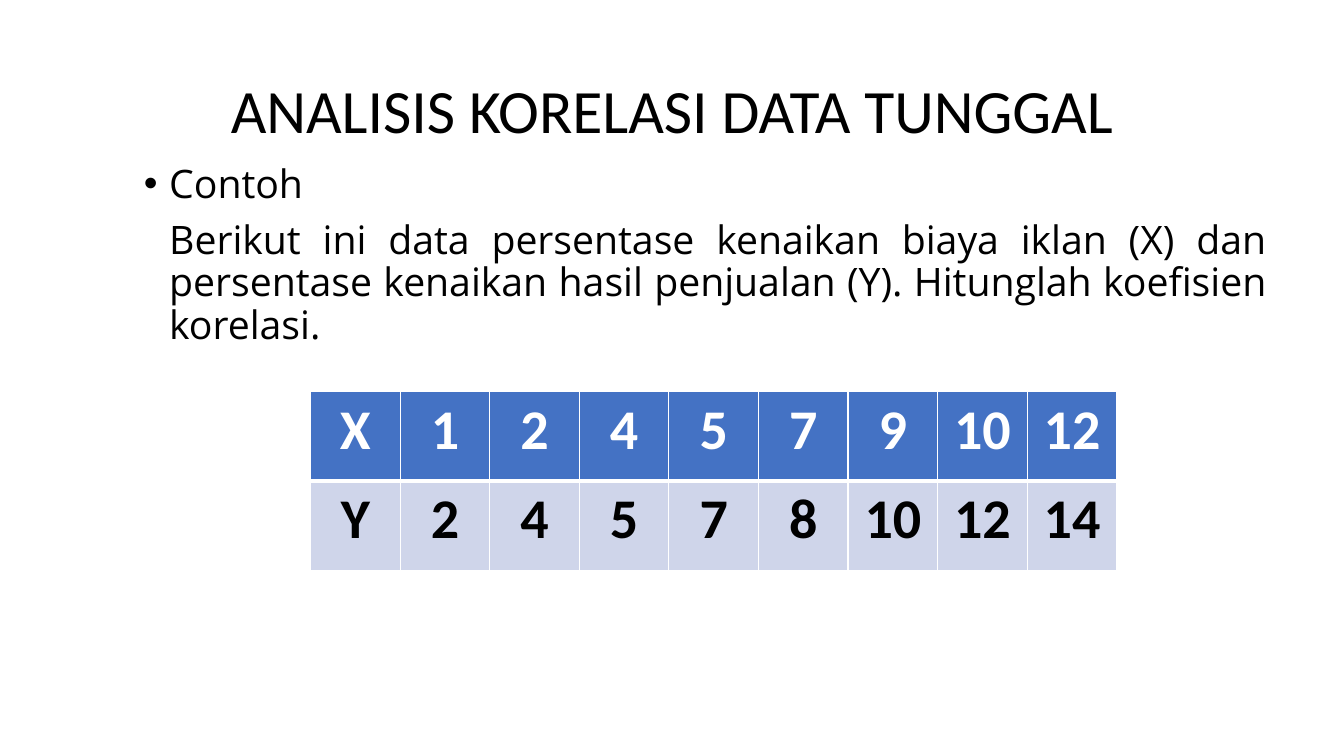
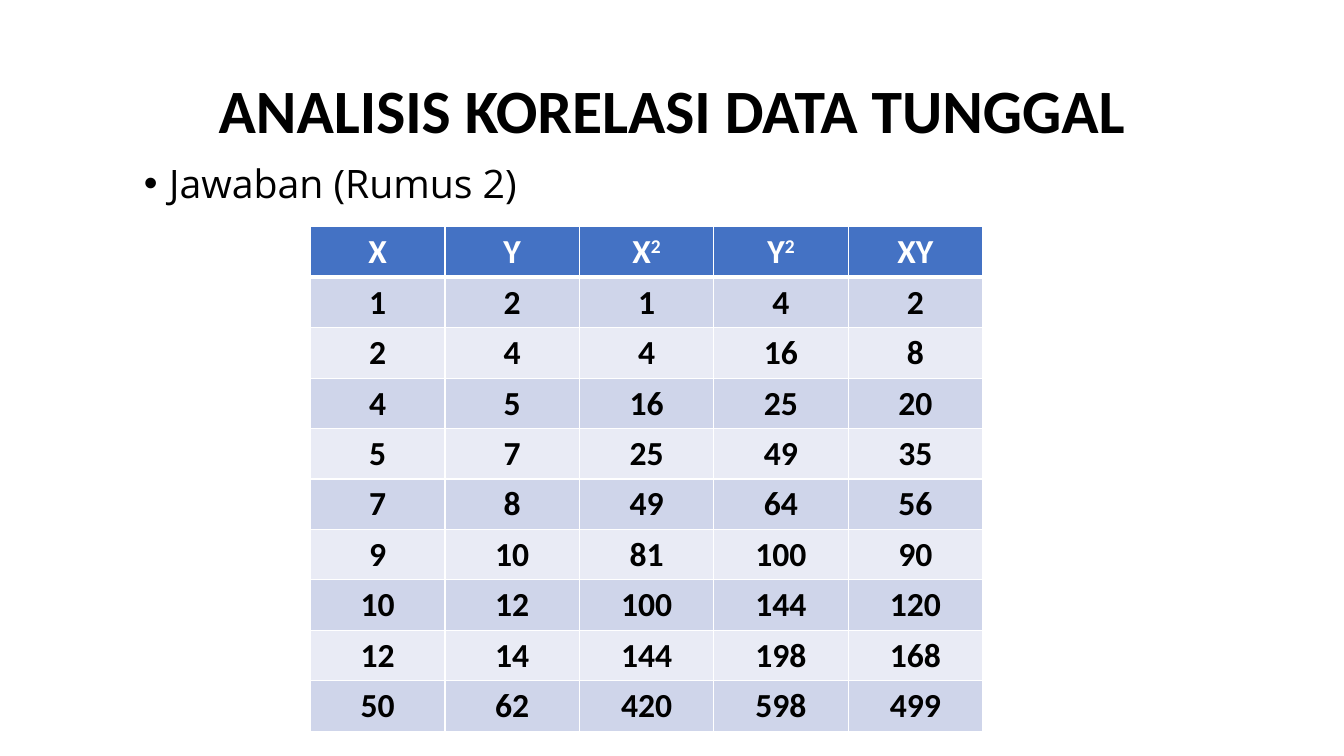
from pptx import Presentation
from pptx.dml.color import RGBColor
from pptx.enum.text import MSO_ANCHOR as Anchor, PP_ALIGN as Align
from pptx.oxml.ns import qn
from pptx.util import Inches, Pt
from lxml.etree import SubElement

TITLE = "ANALISIS KORELASI DATA TUNGGAL"
X = [1, 2, 4, 5, 7, 9, 10, 12]
Y = [2, 4, 5, 7, 8, 10, 12, 14]
SLIDES = [
    {
        "bold_title": False,
        "bullet": "Contoh",
        "detail": "Berikut ini data persentase kenaikan biaya iklan (X) dan persentase "
                  "kenaikan hasil penjualan (Y). Hitunglah koefisien korelasi.",
        "rows": [["X", *X], ["Y", *Y]],
        "top": 3.88, "column": 8 / 9, "row": 8 / 9, "size": 40,
    },
    {
        "bold_title": True,
        "bullet": "Jawaban (Rumus 2)",
        "detail": None,
        "rows": [
            ["X", "Y", "X^2", "Y^2", "XY"],
            *zip(X, Y,
                 [1, 4, 16, 25, 49, 81, 100, 144],
                 [4, 16, 25, 49, 64, 100, 144, 198],
                 [2, 8, 20, 35, 56, 90, 120, 168]),
            [50, 62, 420, 598, 499],
        ],
        "top": 2.25, "column": 4 / 3, "row": 0.5, "size": 24,
    },
]

WIDTH, HEIGHT = 13.33, 7.5
TITLE_BOX = (0.92, 0.4, 11.5, 1.45)
BODY_BOX = (1.33, 1.58, 11.33, 5)
TABLE_LEFT = 3.08
INDENT = 0.25
HEADING_FONT, BODY_FONT = "Calibri", "Open Sans"
BLACK, WHITE = "000000", "FFFFFF"
HEADER_FILL, BAND_FILLS = "4472C4", ("CFD5EA", "E9EBF5")
THIN, THICK = 1, 3


def color(value):
    """Turn a hex string into a colour."""
    return RGBColor.from_string(value)


def set_font(paragraph, name, size, value=BLACK, bold=False):
    """Set the font of a whole paragraph."""
    font = paragraph.font
    font.name, font.size, font.bold = name, Pt(size), bold
    font.color.rgb = color(value)


def add_text_frame(slide, box):
    """Add a wrapping text box and return its text frame."""
    frame = slide.shapes.add_textbox(*map(Inches, box)).text_frame
    frame.word_wrap = True
    return frame


def add_title(slide, bold):
    """Add the title shared by the slides."""
    frame = add_text_frame(slide, TITLE_BOX)
    frame.vertical_anchor = Anchor.MIDDLE
    paragraph = frame.paragraphs[0]
    paragraph.text = TITLE
    paragraph.alignment, paragraph.line_spacing = Align.CENTER, 0.9
    set_font(paragraph, HEADING_FONT, 44, bold=bold)


def write_body(paragraph, text, bullet):
    """Write an indented body paragraph, bulleted or justified."""
    paragraph.text = text
    paragraph.alignment = Align.LEFT if bullet else Align.JUSTIFY
    paragraph.line_spacing, paragraph.space_before = 0.9, Pt(10)
    properties = paragraph._p.get_or_add_pPr()
    properties.set("marL", str(Inches(INDENT)))
    properties.set("indent", str(Inches(-INDENT if bullet else 0)))
    if bullet:
        SubElement(properties, qn("a:buFont"), typeface="Arial")
        SubElement(properties, qn("a:buChar"), char="•")
    set_font(paragraph, BODY_FONT, 28)


def add_body(slide, bullet, detail):
    """Add the bullet and, if there is one, the detail below it."""
    frame = add_text_frame(slide, BODY_BOX)
    write_body(frame.paragraphs[0], bullet, True)
    if detail:
        write_body(frame.add_paragraph(), detail, False)


def set_borders(cell, row):
    """Draw white cell borders, thick between the header and the data."""
    properties = cell._tc.get_or_add_tcPr()
    widths = {"L": THIN, "R": THIN,
              "T": THICK if row == 1 else THIN,
              "B": THICK if row == 0 else THIN}
    for side, width in widths.items():
        line = SubElement(properties, qn(f"a:ln{side}"), w=str(Pt(width)))
        fill = SubElement(line, qn("a:solidFill"))
        SubElement(fill, qn("a:srgbClr"), val=WHITE)


def fill_cell(cell, value, row, size):
    """Write and colour one cell; a caret marks a superscript."""
    set_borders(cell, row)
    cell.fill.solid()
    cell.fill.fore_color.rgb = color(BAND_FILLS[(row - 1) % 2] if row else HEADER_FILL)
    paragraph = cell.text_frame.paragraphs[0]
    paragraph.alignment = Align.CENTER
    set_font(paragraph, HEADING_FONT, size, BLACK if row else WHITE, bold=True)
    base, _, power = str(value).partition("^")
    paragraph.add_run().text = base
    if power:
        run = paragraph.add_run()
        run.text = power
        run._r.get_or_add_rPr().set("baseline", "30000")


def add_data_table(slide, rows, top, column, row, size):
    """Add a banded table with equal columns and rows, in inches."""
    row_count, column_count = len(rows), len(rows[0])
    box = (TABLE_LEFT, top, column * column_count, row * row_count)
    table = slide.shapes.add_table(row_count, column_count, *map(Inches, box)).table
    for row_index, values in enumerate(rows):
        for column_index, value in enumerate(values):
            fill_cell(table.cell(row_index, column_index), value, row_index, size)


def build():
    """Build and save the presentation."""
    presentation = Presentation()
    presentation.slide_width, presentation.slide_height = Inches(WIDTH), Inches(HEIGHT)
    for content in SLIDES:
        slide = presentation.slides.add_slide(presentation.slide_layouts[6])
        add_title(slide, content["bold_title"])
        add_body(slide, content["bullet"], content["detail"])
        add_data_table(slide, content["rows"], content["top"], content["column"],
                       content["row"], content["size"])
    presentation.save("out.pptx")


build()
